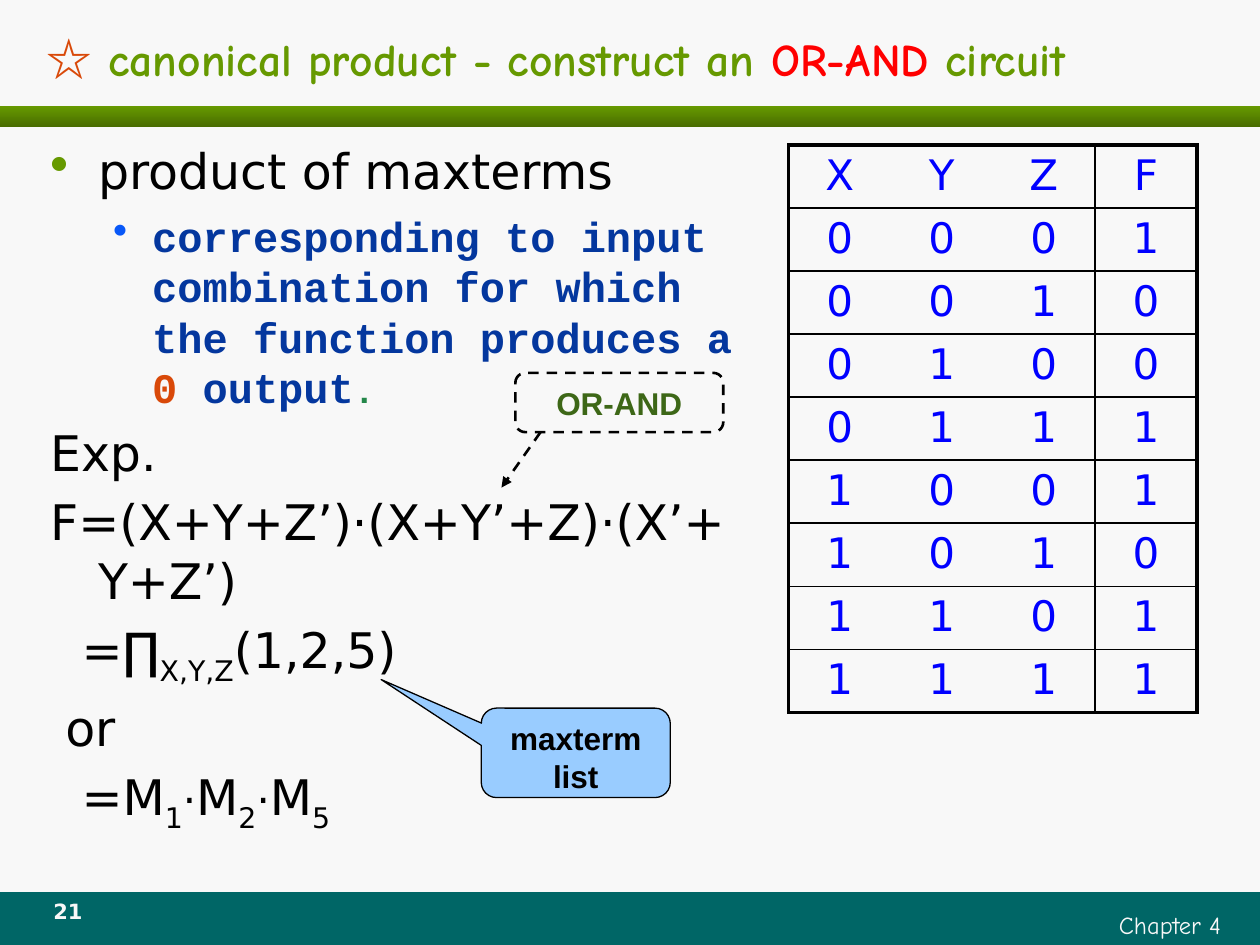
import lxml.etree
import pptx
import pptx.dml.color
import pptx.enum.dml
import pptx.enum.shapes
import pptx.enum.text
import pptx.oxml.ns
import pptx.util

THEME = {
    "paper": "F8F8F8", "band": "006666", "green": "669900", "deep_green": "496D00",
    "ink": "000000", "red": "FF0000", "orange": "D94909", "navy": "04379E",
    "bullet_blue": "0858F8", "stop_green": "25874A", "table_blue": "0000FF",
    "callout": "99CCFF", "label_green": "3D6717",
    "sans": "DejaVu Sans", "comic": "Comic Neue", "mono": "Courier New",
    "label": "Arial", "symbol": "Noto Sans CJK SC",
    "title": 26, "body": 28, "detail": 24, "stop": 20, "note": 18, "footer": 14, "number": 12,
}
qn = pptx.oxml.ns.qn
RGB = pptx.dml.color.RGBColor.from_string
ALIGN = pptx.enum.text.PP_ALIGN
ANCHOR = pptx.enum.text.MSO_ANCHOR
SHAPE = pptx.enum.shapes.MSO_SHAPE
Pt = pptx.util.Pt

deck = pptx.Presentation()
deck.slide_width = pptx.util.Inches(10)
deck.slide_height = pptx.util.Inches(7.5)
column = deck.slide_width / 100
row = deck.slide_height / 75


def place(left, top, width, height):
    return [round(left * column), round(top * row), round(width * column), round(height * row)]


def add_run(paragraph, text, size, face, color, bold=False, subscript=False):
    run = paragraph.add_run()
    run.text = text
    run.font.size = Pt(THEME[size])
    run.font.name = THEME[face]
    run.font.bold = bold
    run.font.color.rgb = RGB(THEME[color])
    properties = run.font._element
    lxml.etree.SubElement(properties, qn("a:ea"), typeface=THEME[face])
    if subscript:
        properties.set("baseline", "-25000")


slide = deck.slides.add_slide(deck.slide_layouts[5])
slide.background.fill.solid()
slide.background.fill.fore_color.rgb = RGB(THEME["paper"])

title = slide.shapes.title
title.left, title.top, title.width, title.height = place(2.7, 1.7, 94.8, 5.9)
title.text_frame.auto_size = pptx.enum.text.MSO_AUTO_SIZE.NONE
title.text_frame.vertical_anchor = ANCHOR.MIDDLE
heading = title.text_frame.paragraphs[0]
heading.alignment = ALIGN.LEFT
for text, face, color in [
    ("☆", "symbol", "orange"),
    (" canonical product - construct an ", "comic", "green"),
    ("OR-AND", "comic", "red"),
    (" circuit", "comic", "green"),
]:
    add_run(heading, text, "title", face, color, bold=True)

footer_band = slide.shapes.add_shape(SHAPE.RECTANGLE, *place(0, 70.8, 100, 4.2))
footer_band.fill.solid()
footer_band.fill.fore_color.rgb = RGB(THEME["band"])
title_rule = slide.shapes.add_shape(SHAPE.RECTANGLE, *place(0, 8.4, 100, 1.7))
title_rule.fill.gradient()
title_rule.fill.gradient_angle = 270
for stop, color, position in zip(title_rule.fill.gradient_stops, ("green", "deep_green"), (0, 1)):
    stop.color.rgb = RGB(THEME[color])
    stop.position = position
for band in (footer_band, title_rule):
    band.line.fill.background()
    band.shadow.inherit = False

for text, area, align, size, face, bold in [
    ("Chapter 4", (57.9, 71.7, 40, 3.3), ALIGN.RIGHT, "footer", "comic", False),
    ("21", (2.5, 70.8, 5.8, 3.3), ALIGN.CENTER, "number", "sans", True),
]:
    frame = slide.shapes.add_textbox(*place(*area)).text_frame
    frame.word_wrap = True
    frame.paragraphs[0].alignment = align
    add_run(frame.paragraphs[0], text, size, face, "paper", bold)

plain = ("body", "sans", "ink")
strong = ("detail", "mono", "navy", True)
sub = ("body", "sans", "ink", False, True)
dot = ("detail", "sans", "ink")
lesson = [
    (0, 3.8, -3.8, ("green", 110), [("product of maxterms", *plain)]),
    (1, 8.1, -3.1, ("bullet_blue", 100), [
        ("corresponding to input combination for which the function produces a ", *strong),
        ("0", "detail", "mono", "orange", True),
        (" output", *strong),
        (".", "stop", "mono", "stop_green", True),
    ]),
    (0, 3.8, -3.8, None, [("Exp.", *plain)]),
    (0, 3.8, -3.8, None, [("F=(X+Y+Z’)·(X+Y’+Z)·(X’+Y+Z’)", *plain)]),
    (0, 2.5, 0, None, [("=∏", *plain), ("X,Y,Z", *sub), ("(1,2,5)", *plain)]),
    (0, 1.2, 0, None, [("or", *plain)]),
    (0, 2.5, 0, None, [
        ("=M", *plain), ("1", *sub), ("·", *dot), ("M", *plain), ("2", *sub),
        ("·", *dot), ("M", *plain), ("5", *sub),
    ]),
]
body = slide.shapes.add_textbox(*place(3, 10.7, 56.4, 56.3)).text_frame
body.word_wrap = True
for index, (level, margin, indent, bullet, runs) in enumerate(lesson):
    paragraph = body.paragraphs[0] if index == 0 else body.add_paragraph()
    paragraph.level = level
    properties = paragraph._p.get_or_add_pPr()
    properties.set("marL", str(round(margin * column)))
    properties.set("indent", str(round(indent * column)))
    if bullet:
        bullet_color, bullet_percent = bullet
        tint = lxml.etree.SubElement(properties, qn("a:buClr"))
        lxml.etree.SubElement(tint, qn("a:srgbClr"), val=THEME[bullet_color])
        lxml.etree.SubElement(properties, qn("a:buSzPct"), val=str(bullet_percent * 1000))
        lxml.etree.SubElement(properties, qn("a:buChar"), char="•")
    else:
        lxml.etree.SubElement(properties, qn("a:buNone"))
    if index:
        paragraph.space_before = Pt(6)
    for run in runs:
        add_run(paragraph, *run)

outputs = "10011011"
truth_rows = ["XYZF"] + [f"{term:03b}{output}" for term, output in enumerate(outputs)]
last_row, last_column = len(truth_rows) - 1, 3
truth_table = slide.shapes.add_table(len(truth_rows), 4, *place(62.6, 11.5, 32.4, 44)).table
truth_table.first_row = False
truth_table.horz_banding = False
for r, values in enumerate(truth_rows):
    for c, value in enumerate(values):
        cell = truth_table.cell(r, c)
        cell.text_frame.paragraphs[0].alignment = ALIGN.CENTER
        add_run(cell.text_frame.paragraphs[0], value, "detail", "sans", "table_blue")
        edges = {
            "a:lnL": 2.25 if c == 0 else 1 if c == last_column else 0,
            "a:lnR": 2.25 if c == last_column else 1 if c == last_column - 1 else 0,
            "a:lnT": 2.25 if r == 0 else 1,
            "a:lnB": 2.25 if r == last_row else 1,
        }
        cell_properties = cell._tc.get_or_add_tcPr()
        for edge, weight in edges.items():
            border = lxml.etree.SubElement(cell_properties, qn(edge), w=str(Pt(weight)))
            if weight:
                paint = lxml.etree.SubElement(border, qn("a:solidFill"))
                lxml.etree.SubElement(paint, qn("a:srgbClr"), val=THEME["ink"])
            else:
                lxml.etree.SubElement(border, qn("a:noFill"))
        cell.fill.background()

maxterm_note = slide.shapes.add_shape(
    SHAPE.ROUNDED_RECTANGULAR_CALLOUT, *place(38.2, 56.2, 15, 7.1))
for index, value in enumerate((-1.03, -0.82, 0.17)):
    maxterm_note.adjustments[index] = value
maxterm_note.fill.solid()
maxterm_note.fill.fore_color.rgb = RGB(THEME["callout"])
maxterm_note.line.width = Pt(0.75)
maxterm_note.text_frame.vertical_anchor = ANCHOR.TOP

circuit_note = slide.shapes.add_shape(SHAPE.ROUNDED_RECTANGLE, *place(40.9, 29.6, 16.5, 4.7))
circuit_note.fill.background()
circuit_note.line.width = Pt(1.5)
circuit_note.text_frame.vertical_anchor = ANCHOR.MIDDLE

for note, text, color in [
    (maxterm_note, "maxterm list", "ink"),
    (circuit_note, "OR-AND", "label_green"),
]:
    note.shadow.inherit = False
    note.line.color.rgb = RGB(THEME["ink"])
    note.text_frame.word_wrap = note is maxterm_note
    note.text_frame.paragraphs[0].alignment = ALIGN.CENTER
    add_run(note.text_frame.paragraphs[0], text, "note", "label", color, bold=True)

circuit_arrow = slide.shapes.add_connector(
    pptx.enum.shapes.MSO_CONNECTOR.STRAIGHT, *place(42.9, 34.3, 39.8, 38.7))
circuit_arrow.line.color.rgb = RGB(THEME["ink"])
circuit_arrow.line.width = Pt(1.5)
for outline in (circuit_note.line, circuit_arrow.line):
    outline.dash_style = pptx.enum.dml.MSO_LINE.DASH
lxml.etree.SubElement(circuit_arrow.line._get_or_add_ln(), qn("a:tailEnd"), type="triangle")
lxml.etree.SubElement(circuit_arrow._element.spPr, qn("a:effectLst"))

deck.save("out.pptx")
